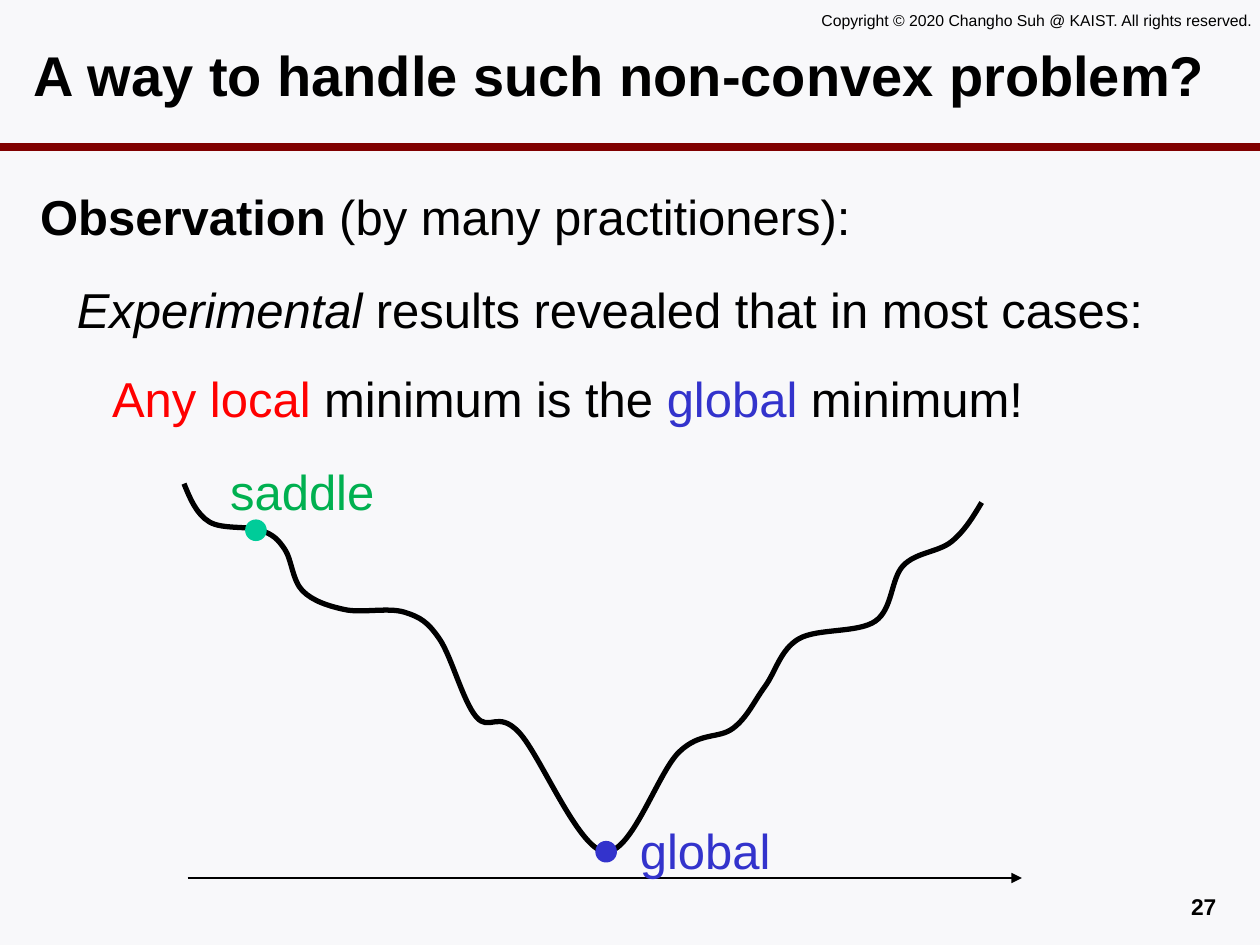
"""Build the slide on local and global minima of a non-convex problem."""
from lxml import etree
from pptx import Presentation
from pptx.dml.color import RGBColor
from pptx.enum.shapes import MSO_CONNECTOR, MSO_SHAPE
from pptx.enum.text import MSO_ANCHOR, MSO_AUTO_SIZE, PP_ALIGN
from pptx.oxml.ns import qn
from pptx.util import Cm, Pt

STRAIGHT = MSO_CONNECTOR.STRAIGHT
ELLIPSE = MSO_SHAPE.OVAL
TOP, MIDDLE = MSO_ANCHOR.TOP, MSO_ANCHOR.MIDDLE
LEFT, RIGHT = PP_ALIGN.LEFT, PP_ALIGN.RIGHT
NO_AUTOFIT = MSO_AUTO_SIZE.NONE

FONT = "Arial"
COLORS = {
    "background": "F8F8FA", "rule": "800000", "black": "000000", "red": "FF0000",
    "blue": "3333CC", "green": "00B050", "teal": "00CC99",
}

TITLE = [("A way to handle such non-convex problem?", {"bold": True})]
OBSERVATION = [("Observation", {"bold": True}), (" (by many practitioners):", {})]
COPYRIGHT = [("Copyright © 2020 Changho Suh @ KAIST. All rights reserved.", {})]
PAGE_NUMBER = [("27", {"bold": True})]
STATEMENTS = [
    ((1.3, 5.41, 22.6, 1.52),
     [("Experimental", {"italic": True}), (" results revealed that in most cases:", {})]),
    ((2.01, 7.21, 21.2, 1.37),
     [("Any local ", {"color": "red"}), ("minimum is the ", {}),
      ("global", {"color": "blue"}), (" minimum!", {})]),
    ((4.39, 9.09, 3.81, 1.37), [("saddle", {"color": "green"})]),
    ((12.65, 16.33, 3.81, 1.37), [("global", {"color": "blue"})]),
]
CURVE_KNOTS = [
    (3.71, 9.75), (4.22, 10.52), (5.26, 10.69), (5.74, 11.07), (6.1, 11.91),
    (6.96, 12.29), (8.15, 12.34), (8.86, 12.88), (9.6, 14.45), (10.46, 14.76),
    (12.19, 17.17), (13.69, 15.16), (14.78, 14.68), (15.42, 13.84), (16.1, 12.88),
    (17.65, 12.52), (18.21, 11.4), (19.18, 10.92), (19.79, 10.13),
]
POINT_SIZE = 0.41
CRITICAL_POINTS = [((5.16, 10.69), "teal"), ((12.22, 17.17), "blue")]


def rgb(name):
    """Return the named palette colour."""
    return RGBColor.from_string(COLORS[name])


def write_text(holder, runs, box, size=28, align=LEFT, anchor=TOP, top_inset=0.22):
    """Place a text holder and fill it with one paragraph of formatted runs."""
    holder.left, holder.top, holder.width, holder.height = map(Cm, box)
    frame = holder.text_frame
    frame.word_wrap, frame.auto_size = True, NO_AUTOFIT
    frame.vertical_anchor = anchor
    frame.margin_left = frame.margin_right = Cm(0.25)
    frame.margin_top, frame.margin_bottom = Cm(top_inset), Cm(0.13)
    paragraph = frame.paragraphs[0]
    properties = paragraph._p.get_or_add_pPr()
    properties.set("marL", "0")
    properties.set("indent", "0")
    etree.SubElement(properties, qn("a:buNone"))
    paragraph.alignment, paragraph.space_before = align, Pt(0)
    for words, style in runs:
        run = paragraph.add_run()
        run.text = words
        run.font.name, run.font.size = FONT, Pt(size)
        run.font.bold = style.get("bold", False)
        run.font.italic = style.get("italic", False)
        run.font.color.rgb = rgb(style.get("color", "black"))


def add_line(shapes, start, end, color, width, arrow=False):
    """Draw a straight line, with an arrowhead at its end if asked."""
    line = shapes.add_connector(STRAIGHT, *map(Cm, start + end))
    line.line.color.rgb, line.line.width = rgb(color), Pt(width)
    if arrow:
        etree.SubElement(line.line._get_or_add_ln(), qn("a:tailEnd"), type="triangle")
    etree.SubElement(line._element.spPr, qn("a:effectLst"))


def spline_points(knots):
    """Return two handles and an end point for each piece of a smooth spline."""
    arms = [((after[0] - before[0]) / 6, (after[1] - before[1]) / 6)
            for before, after in zip(knots, knots[2:])]
    points = []
    last = len(knots) - 2
    for i, (start, end) in enumerate(zip(knots, knots[1:])):
        if i > 0:
            leaving = tuple(k + a for k, a in zip(start, arms[i - 1]))
        if i < last:
            arriving = tuple(k - a for k, a in zip(end, arms[i]))
        else:
            arriving = tuple((a + b) / 2 for a, b in zip(leaving, end))
        if i == 0:
            leaving = tuple((a + b) / 2 for a, b in zip(start, arriving))
        points += [leaving, arriving, end]
    return points


def add_curve(shapes, knots):
    """Draw the loss curve as Bézier pieces through its knots."""
    builder = shapes.build_freeform(*map(Cm, knots[0]))
    builder.add_line_segments(
        [(Cm(x), Cm(y)) for x, y in spline_points(knots)], close=False)
    curve = builder.convert_to_shape()
    outline = next(curve._element.iter(qn("a:path")))
    segments = outline.findall(qn("a:lnTo"))
    for first in range(0, len(segments), 3):
        piece = etree.SubElement(outline, qn("a:cubicBezTo"))
        for segment in segments[first:first + 3]:
            piece.append(segment[0])
            outline.remove(segment)
    curve.fill.background()
    curve.line.color.rgb, curve.line.width = rgb("black"), Pt(3)
    curve.shadow.inherit = False


def main():
    """Assemble and save the slide."""
    deck = Presentation()
    deck.slide_width, deck.slide_height = Cm(25.4), Cm(19.05)
    slide = deck.slides.add_slide(deck.slide_layouts[1])
    shapes = slide.shapes
    slide.background.fill.solid()
    slide.background.fill.fore_color.rgb = rgb("background")

    add_line(shapes, (0, 2.97), (25.4, 2.97), "rule", 4.5)
    write_text(shapes.title, TITLE, (0.43, 0.43, 25.27, 2.11),
               size=32, anchor=MIDDLE, top_inset=0.13)
    write_text(slide.placeholders[1], OBSERVATION, (0.56, 3.53, 17.4, 1.55))
    write_text(shapes.add_textbox(0, 0, 0, 0), COPYRIGHT, (16.31, 0.08, 9.47, 0.64),
               size=9, top_inset=0.13)
    write_text(shapes.add_textbox(0, 0, 0, 0), PAGE_NUMBER, (18.85, 17.86, 5.92, 0.69),
               size=13, align=RIGHT, top_inset=0.13)

    add_line(shapes, (3.78, 17.7), (20.6, 17.7), "black", 0.75, arrow=True)
    add_curve(shapes, CURVE_KNOTS)
    for (x, y), color in CRITICAL_POINTS:
        corner = Cm(x - POINT_SIZE / 2), Cm(y - POINT_SIZE / 2)
        point = shapes.add_shape(ELLIPSE, *corner, Cm(POINT_SIZE), Cm(POINT_SIZE))
        point.fill.solid()
        point.fill.fore_color.rgb = point.line.color.rgb = rgb(color)
        point.line.width = Pt(0.75)
        point.shadow.inherit = False
    for box, runs in STATEMENTS:
        write_text(shapes.add_textbox(0, 0, 0, 0), runs, box)

    deck.save("out.pptx")


if __name__ == "__main__":
    main()
